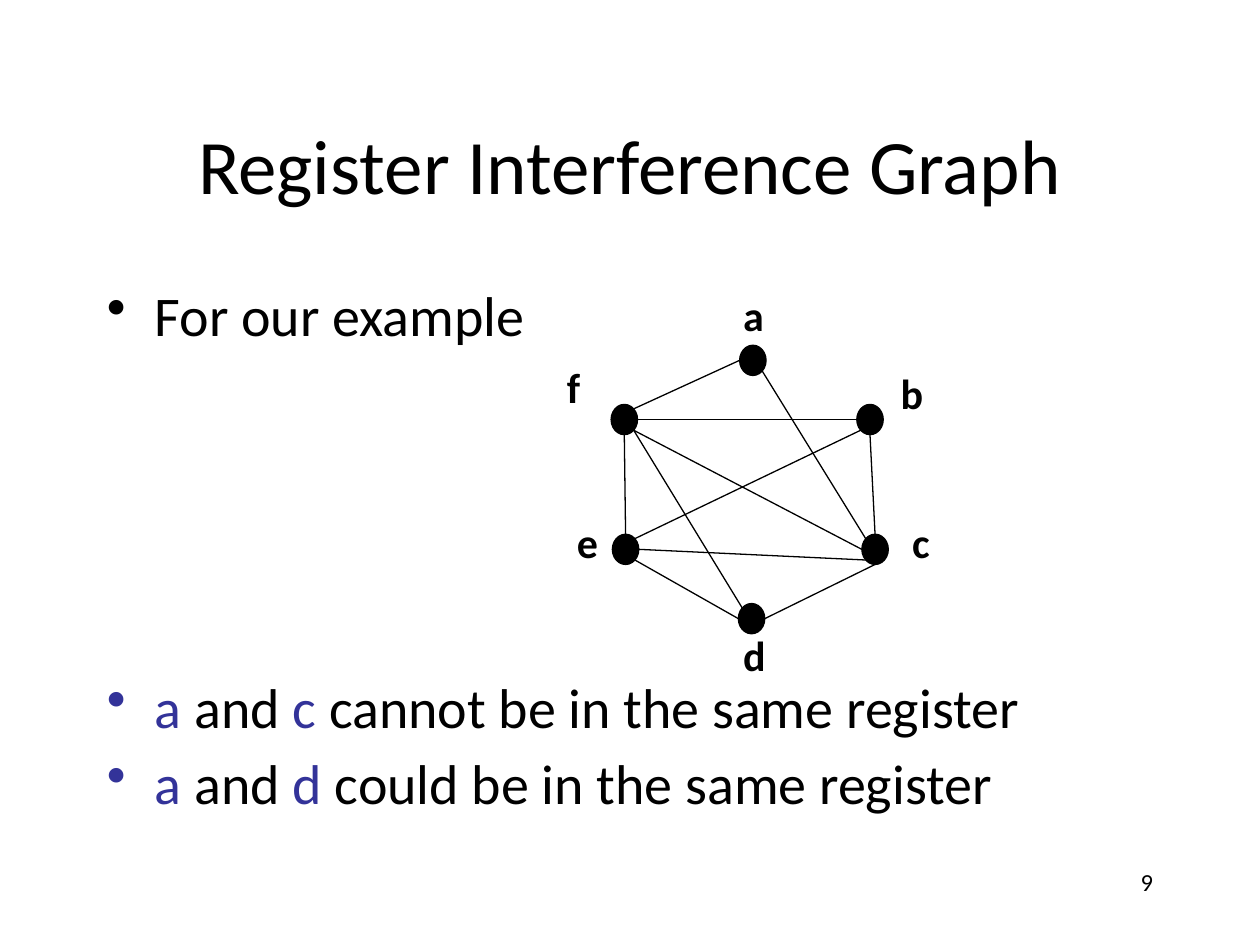
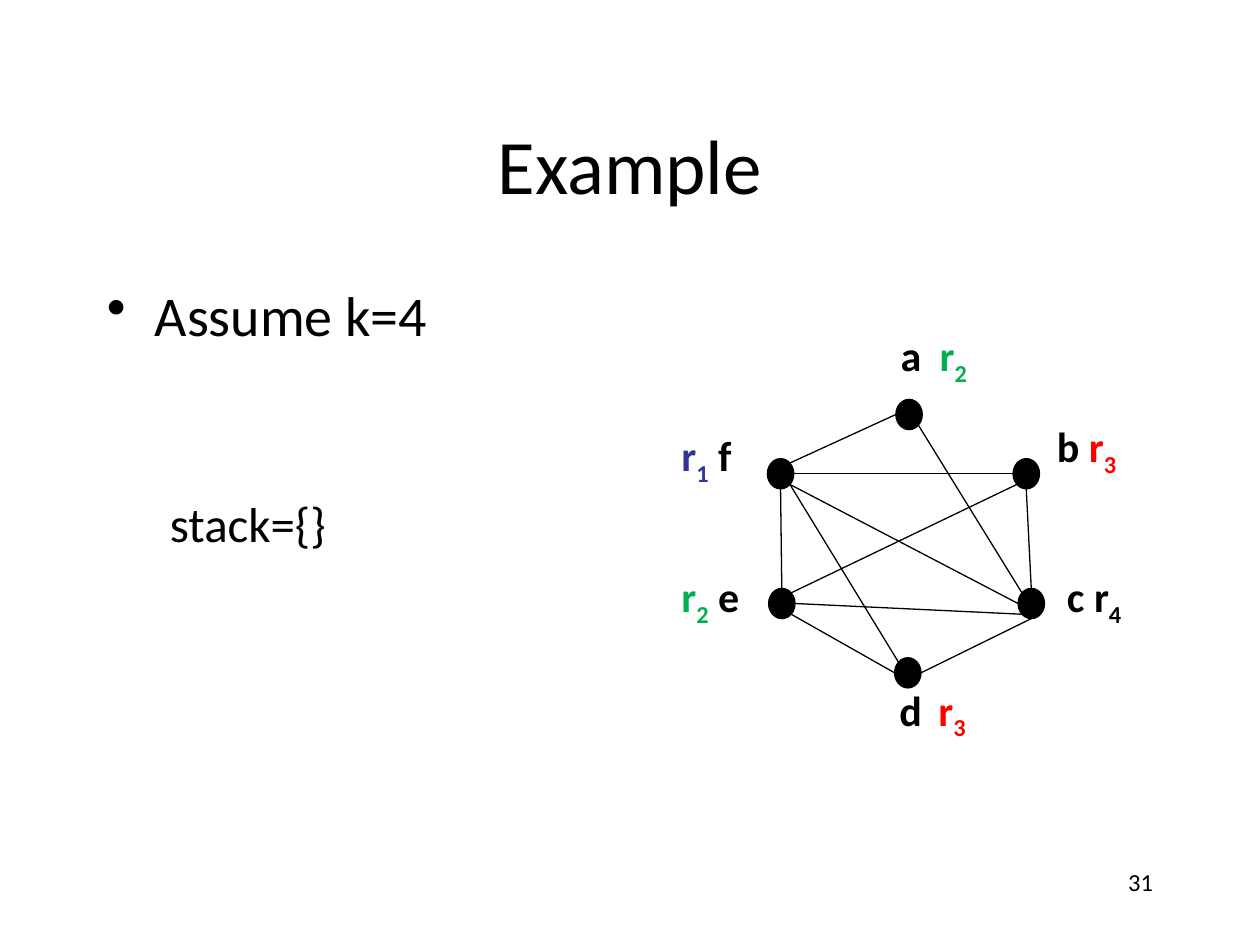
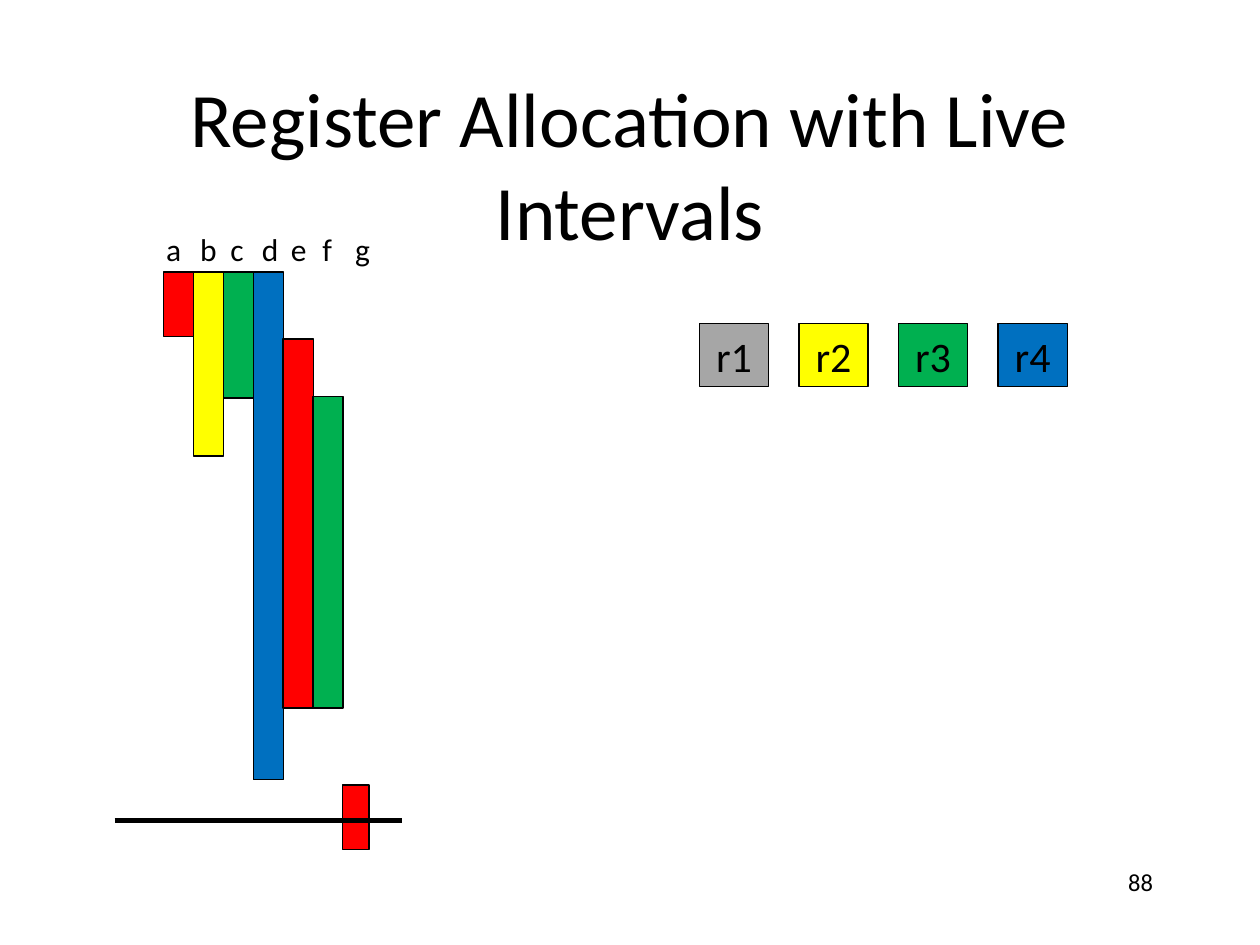
from math import cos, pi, sin

from lxml import etree
from pptx import Presentation
from pptx.dml.color import RGBColor
from pptx.enum.shapes import MSO_CONNECTOR, MSO_SHAPE
from pptx.enum.text import MSO_ANCHOR, PP_ALIGN
from pptx.oxml.ns import qn
from pptx.util import Inches, Pt

LEFT, CENTER, RIGHT = PP_ALIGN.LEFT, PP_ALIGN.CENTER, PP_ALIGN.RIGHT
TOP, MIDDLE = MSO_ANCHOR.TOP, MSO_ANCHOR.MIDDLE
OVAL, RECT = MSO_SHAPE.OVAL, MSO_SHAPE.RECTANGLE
STRAIGHT = MSO_CONNECTOR.STRAIGHT

FONT = "Calibri"
BLACK, NAVY, RED, GREEN = "000000", "333399", "FF0000", "00B050"
YELLOW, BLUE, GRAY = "FFFF00", "0070C0", "A6A6A6"

NODE_W, NODE_H = 0.21, 0.24
# Node places, measured from node f
NODES = {"a": (1.02, -0.47), "b": (1.95, 0), "c": (1.99, 1.03),
         "d": (1.01, 1.58), "e": (0.01, 1.03), "f": (0, 0)}
# Each end is a node and one of its eight sites, counted from the top to the left
EDGES = ["a2 f7", "e0 f4", "d1 f5", "d2 e5", "a5 c1", "b2 f6",
         "c2 f5", "b4 c0", "c3 e6", "c4 d6", "b3 e7"]


def rgb(color):
    return RGBColor.from_string(color)


def reg(num, color=BLACK):
    """Runs for a register name with its number set low."""
    return [("r", color), (num, color, True)]


class Deck:
    def __init__(self):
        self.prs = Presentation()
        self.prs.slide_width, self.prs.slide_height = Inches(10), Inches(7.5)
        self.slide = None

    def start(self, title, page):
        self.slide = self.prs.slides.add_slide(self.prs.slide_layouts[6])
        self.text((0.75, 0.67, 8.5, 1.25), title, 44, align=CENTER, anchor=MIDDLE)
        self.text((7.17, 6.83, 2.08, 0.5), page, 14, align=RIGHT)

    def text(self, box, runs, size, align=LEFT, anchor=TOP, **style):
        frame = self.slide.shapes.add_textbox(*map(Inches, box)).text_frame
        frame.word_wrap = True
        frame.vertical_anchor = anchor
        self.fill(frame.paragraphs[0], runs, size, align, **style)
        return frame

    def fill(self, para, runs, size, align=LEFT, bold=False, gap=0,
             bullet=False, indent=0, tab=0):
        """Write a string, or runs of (text, colour, low), into a paragraph."""
        if isinstance(runs, str):
            runs = [(runs, BLACK)]
        para.alignment = align
        props = para._p.get_or_add_pPr()
        if gap:
            para.space_before = Pt(gap)
        if bullet:
            props.set("marL", str(Inches(0.38)))
            props.set("indent", str(-Inches(0.38)))
            etree.SubElement(props, qn("a:buChar"), char="•")
        elif indent:
            props.set("marL", str(Inches(indent)))
        if tab:
            tabs = etree.SubElement(props, qn("a:tabLst"))
            etree.SubElement(tabs, qn("a:tab"), pos=str(Inches(tab)), algn="l")
        font = para.font
        font.name, font.size, font.bold = FONT, Pt(size), bold
        same = len({color for _, color, *_ in runs}) == 1
        if same:
            font.color.rgb = rgb(runs[0][1])
        for words, color, *low in runs:
            run = para.add_run()
            run.text = words
            if not same:
                run.font.color.rgb = rgb(color)
            if low:
                run._r.get_or_add_rPr().set("baseline", "-25000")

    def body(self, *items):
        """Add a body box; each item is (runs, size, style)."""
        (runs, size, style), *rest = items
        frame = self.text((0.75, 2.18, 8.5, 4.5), runs, size, **style)
        for runs, size, style in rest:
            self.fill(frame.add_paragraph(), runs, size, **style)

    def shape(self, kind, box, color, label=None):
        item = self.slide.shapes.add_shape(kind, *map(Inches, box))
        item.shadow.inherit = False
        item.fill.solid()
        item.fill.fore_color.rgb = rgb(color)
        item.line.color.rgb = rgb(BLACK)
        item.line.width = Pt(0.75)
        if label:
            self.fill(item.text_frame.paragraphs[0], label, 24, CENTER)

    def line(self, start, end, width=0.75):
        item = self.slide.shapes.add_connector(
            STRAIGHT, *map(Inches, (*start, *end)))
        item.line.color.rgb = rgb(BLACK)
        item.line.width = Pt(width)
        etree.SubElement(item._element.spPr, qn("a:effectLst"))

    def graph(self, left, top, labels):
        """Draw the graph with node f at left, top; labels are (dx, dy, runs)."""
        def site(end):
            x, y = NODES[end[0]]
            turn = int(end[1]) * pi / 4
            return (left + x + NODE_W / 2 * (1 - sin(turn)),
                    top + y + NODE_H / 2 * (1 - cos(turn)))

        for name, (x, y) in NODES.items():
            x, y = left + x, top + y
            self.shape(OVAL, (x, y, NODE_W, NODE_H), BLACK)
            dx, dy, runs = labels[name]
            self.text((x + dx, y + dy, 1, 0.5), runs, 24, bold=True,
                      tab=0.31 if "\t" in runs[0][0] else 0)
        for edge in EDGES:
            self.line(*map(site, edge.split()))


def main():
    deck = Deck()

    deck.start("Register Interference Graph", "9")
    deck.body(
        ("For our example", 32, {"bullet": True}),
        ([("a", NAVY), (" and ", BLACK), ("c", NAVY),
          (" cannot be in the same register", BLACK)],
         32, {"bullet": True, "gap": 185.5}),
        ([("a", NAVY), (" and ", BLACK), ("d", NAVY),
          (" could be in the same register", BLACK)],
         32, {"bullet": True, "gap": 5}))
    deck.graph(4.85, 3.21, {
        "a": (-0.07, -0.49, "a"), "b": (0.25, -0.34, "b"),
        "c": (0.3, -0.19, "c"), "d": (-0.06, 0.16, "d"),
        "e": (-0.38, -0.19, "e"), "f": (-0.45, -0.39, "f")})

    deck.start("Example", "31")
    deck.body(("Assume k=4", 32, {"bullet": True}),
              ("stack={}", 28, {"indent": 0.5, "gap": 83}))
    deck.graph(6.09, 3.64, {
        "a": (-0.06, -0.6, [("a\t", BLACK), *reg("2", GREEN)]),
        "b": (0.25, -0.35, [("b ", BLACK), *reg("3", RED)]),
        "c": (0.29, -0.19, [("c ", BLACK), *reg("4")]),
        "d": (-0.06, 0.16, [("d\t", BLACK), *reg("3", RED)]),
        "e": (-0.79, -0.19, [*reg("2", GREEN), (" e", BLACK)]),
        "f": (-0.78, -0.28, [*reg("1", NAVY), (" f", BLACK)])})

    deck.start("Register Allocation with Live Intervals", "88")
    # Name, label left, bar top, bar width, bar height, colour
    spans = [("a", 1.22, 2.16, 0.24, 0.51, RED),
             ("b", 1.49, 2.16, 0.24, 1.46, YELLOW),
             ("c", 1.73, 2.16, 0.24, 1, GREEN),
             ("d", 1.98, 2.16, 0.24, 4.03, BLUE),
             ("e", 2.21, 2.69, 0.24, 2.93, RED),
             ("f", 2.46, 3.15, 0.24, 2.47, GREEN),
             ("g", 2.72, 6.23, 0.21, 0.51, RED)]
    step = (2.72 - 1.3) / (len(spans) - 1)
    for i, (name, left, top, width, height, color) in enumerate(spans):
        deck.text((left, 1.78, 0.47, 0.4), name, 18)
        deck.shape(RECT, (1.3 + i * step, top, width, height), color)
    for i, color in enumerate([GRAY, YELLOW, GREEN, BLUE]):
        deck.shape(RECT, (5.55 + i * 0.79, 2.57, 0.55, 0.5), color, f"r{i + 1}")
    deck.line((0.91, 6.51), (3.19, 6.51), 3)

    deck.prs.save("out.pptx")


if __name__ == "__main__":
    main()
